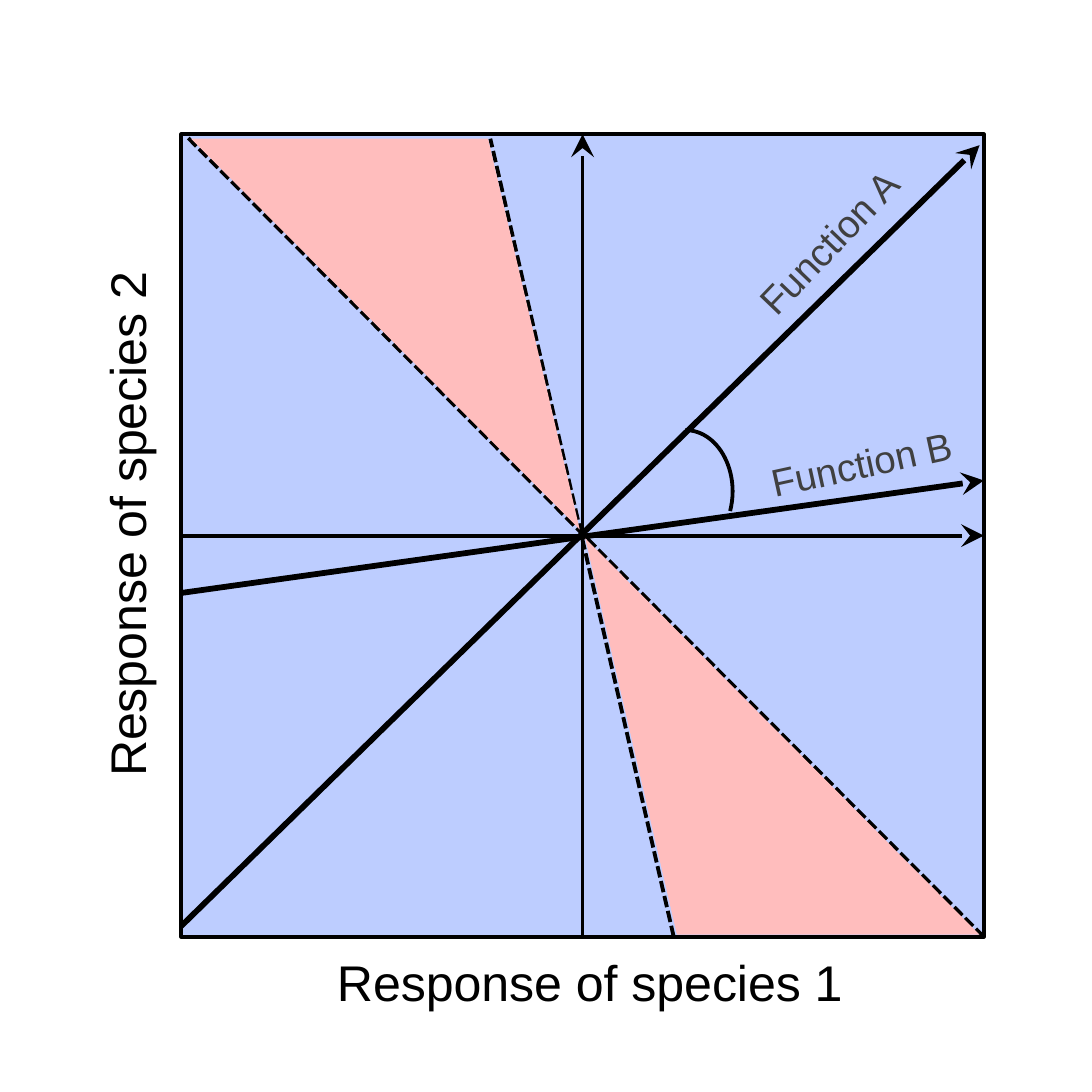
from dataclasses import dataclass
from lxml.etree import SubElement
from pptx import Presentation
from pptx.dml.color import RGBColor as Rgb
from pptx.enum.dml import MSO_LINE_DASH_STYLE as Dash
from pptx.enum.shapes import MSO_CONNECTOR as Connector, MSO_SHAPE as Preset
from pptx.enum.text import MSO_AUTO_SIZE as AutoSize, PP_ALIGN as Align
from pptx.oxml.ns import qn
from pptx.util import Cm, Pt


@dataclass(frozen=True)
class Theme:
    font: str = "Arial"
    ink: Rgb = Rgb(0x00, 0x00, 0x00)
    muted: Rgb = Rgb(0x40, 0x40, 0x40)
    blue: Rgb = Rgb(0x44, 0x72, 0xFF)
    pink: Rgb = Rgb(0xFF, 0xBD, 0xBD)
    blue_alpha: int = 35
    axis_size: float = 13
    function_size: float = 10
    thin: float = 1
    thick: float = 1.5


def apply(target, values):
    for name, value in values.items():
        setattr(target, name, value)


class Diagram:
    def __init__(self, page, theme):
        self.shapes = page.shapes
        self.theme = theme

    def outline(self, shape, width):
        shape.line.color.rgb = self.theme.ink
        shape.line.width = Pt(width)

    def preset(self, kind, left, top, width, height):
        shape = self.shapes.add_shape(kind, Cm(left), Cm(top), Cm(width), Cm(height))
        shape.shadow.inherit = False
        shape.fill.background()
        self.outline(shape, self.theme.thin)
        return shape

    def frame(self, left, top, side):
        shape = self.preset(Preset.RECTANGLE, left, top, side, side)
        shape.fill.solid()
        shape.fill.fore_color.rgb = self.theme.blue
        color = shape.fill._xPr.find(qn("a:solidFill"))[0]
        SubElement(color, qn("a:alpha"), val=str(self.theme.blue_alpha * 1000))
        return shape

    def arc(self, left, top, width, height, angles):
        shape = self.preset(Preset.ARC, left, top, width, height)
        for index, angle in enumerate(angles):
            shape.adjustments[index] = angle

    def line(self, start, end, width, arrow=False, dash=None):
        points = [Cm(value) for value in (*start, *end)]
        line = self.shapes.add_connector(Connector.STRAIGHT, *points)
        self.outline(line, width)
        if dash:
            line.line.dash_style = dash
        if arrow:
            SubElement(line.line._get_or_add_ln(), qn("a:tailEnd"), type="stealth")
        SubElement(line._element.spPr, qn("a:effectLst"))
        return line

    def axis(self, frame, start, end, sides):
        line = self.line(start, end, self.theme.thin, arrow=True)
        line.begin_connect(frame, sides[0])
        line.end_connect(frame, sides[1])

    def wedge(self, first, *others):
        builder = self.shapes.build_freeform(Cm(first[0]), Cm(first[1]))
        builder.add_line_segments([(Cm(x), Cm(y)) for x, y in others], close=True)
        shape = builder.convert_to_shape()
        shape.shadow.inherit = False
        shape.fill.solid()
        shape.fill.fore_color.rgb = self.theme.pink
        shape.line.fill.background()

    def label(self, text, center, width, height, size, color, rotation=0):
        left, top = center[0] - width / 2, center[1] - height / 2
        box = self.shapes.add_textbox(Cm(left), Cm(top), Cm(width), Cm(height))
        box.rotation = rotation
        apply(box.text_frame, {"word_wrap": True, "auto_size": AutoSize.SHAPE_TO_FIT_TEXT})
        para = box.text_frame.paragraphs[0]
        para.alignment = Align.CENTER
        span = para.add_run()
        span.text = text
        apply(span.font, {"name": self.theme.font, "size": Pt(size)})
        span.font.color.rgb = color


def main():
    deck = Presentation()
    apply(deck, {"slide_width": Cm(10), "slide_height": Cm(10)})
    page = deck.slides.add_slide(deck.slide_layouts[6])
    theme = Theme()
    diagram = Diagram(page, theme)

    left, top, side = 1.66, 1.23, 7.35
    right, bottom = left + side, top + side
    middle_x, middle_y = left + side / 2, top + side / 2

    frame = diagram.frame(left, top, side)
    diagram.axis(frame, (middle_x, bottom), (middle_x, top), (2, 0))
    diagram.axis(frame, (left, middle_y), (right, middle_y), (1, 3))

    for text, center, rotation in (
        ("Response of species 1", (5.4, 8.99), 0),
        ("Response of species 2", (1.16, 4.8), 270),
    ):
        diagram.label(text, center, 6.93, 0.81, theme.axis_size, theme.ink, rotation)

    for start, end in (
        ((left, 5.43), (right, 4.4)),
        ((left, 8.48), (8.97, 1.33)),
    ):
        diagram.line(start, end, theme.thick, arrow=True)

    for text, center, width, rotation in (
        ("Function A", (7.59, 2.22), 3.2, 313.8),
        ("Function B", (7.89, 4.25), 2.82, 347.6),
    ):
        diagram.label(text, center, width, 0.69, theme.function_size, theme.muted, rotation)

    diagram.arc(5.85, 3.94, 0.86, 1.12, (161.82, 14.4))

    for start, end in (
        ((right, bottom), (1.7, 1.24)),
        ((6.17, bottom), (4.49, 1.27)),
    ):
        diagram.line(start, end, theme.thin, dash=Dash.SQUARE_DOT)

    diagram.wedge((5.31, 4.85), (1.75, 1.27), (4.47, 1.27))
    diagram.wedge((5.36, 4.93), (6.2, 8.56), (8.97, 8.56))

    deck.save("out.pptx")


if __name__ == "__main__":
    main()
